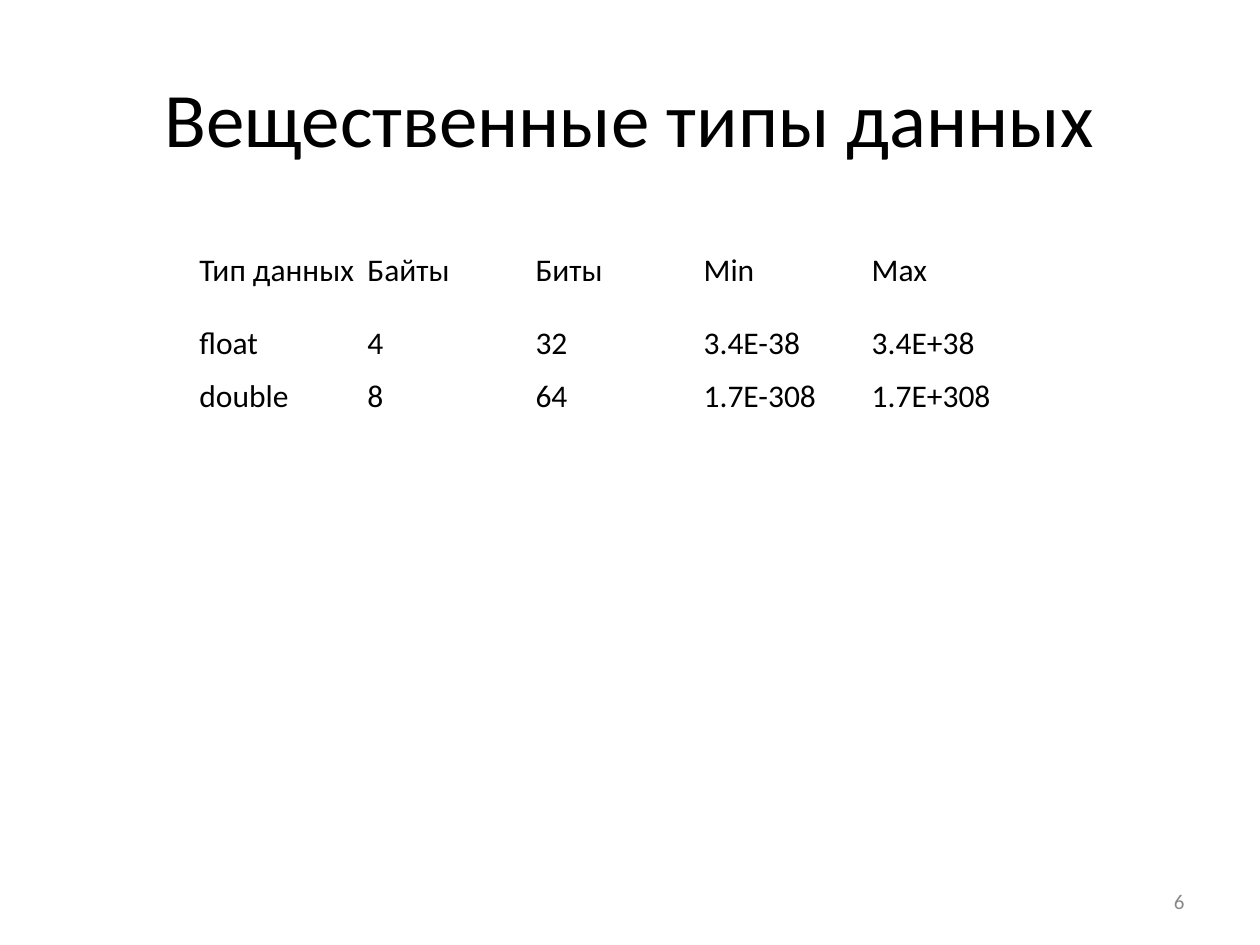
from pptx import Presentation
from pptx.dml.color import RGBColor
from pptx.enum.text import MSO_ANCHOR as Anchor, PP_ALIGN as Align
from pptx.util import Cm, Pt

# Content
TITLE = "Вещественные типы данных"
PAGE_NUMBER = "6"
ROWS = [
    ("Тип данных", "Байты", "Биты", "Min", "Max"),
    ("float", "4", "32", "3.4E-38", "3.4E+38"),
    ("double", "8", "64", "1.7E-308", "1.7E+308"),
    ("", "", "", "", ""),
]

# Layout and formats
TITLE_AREA = (1.27, 0.76, 22.86, 3.18)
NUMBER_AREA = (18.21, 17.65, 5.92, 1.02)
TABLE_LEFT, TABLE_TOP, TABLE_WIDTH = 3.89, 4.52, 16.94
ROW_HEIGHTS = (1.85, 1.07, 1.07, 1.32)
CELL_MARGIN = 0.13
BLACK = RGBColor(0x00, 0x00, 0x00)
GRAY = RGBColor(0x89, 0x89, 0x89)
TITLE_FONT = {"name": "Calibri", "size": Pt(44)}
CELL_FONT = {"name": "Calibri", "size": Pt(18)}
NUMBER_FONT = {"name": "Calibri", "size": Pt(12)}


def set_all(target, values):
    for name, value in values.items():
        setattr(target, name, value)


def write(frame, text, font, color, align, spacing=1.0):
    frame.word_wrap = True
    frame.vertical_anchor = Anchor.MIDDLE
    para = frame.paragraphs[0]
    set_all(para, {"text": text, "alignment": align, "line_spacing": spacing})
    set_all(para.font, font)
    para.font.color.rgb = color


def add_type_table(page):
    area = (TABLE_LEFT, TABLE_TOP, TABLE_WIDTH, sum(ROW_HEIGHTS))
    table = page.shapes.add_table(len(ROWS), len(ROWS[0]), *map(Cm, area)).table
    set_all(table, {"first_row": False, "horz_banding": False})
    for column in table.columns:
        column.width = Cm(TABLE_WIDTH / len(ROWS[0]))
    sides = ("margin_left", "margin_top", "margin_right", "margin_bottom")
    for row, height, texts in zip(table.rows, ROW_HEIGHTS, ROWS):
        row.height = Cm(height)
        for cell, text in zip(row.cells, texts):
            cell.fill.background()
            set_all(cell, dict.fromkeys(sides, Cm(CELL_MARGIN)))
            cell.vertical_anchor = Anchor.MIDDLE
            write(cell.text_frame, text, CELL_FONT, BLACK, Align.LEFT, 1.04)


def main():
    deck = Presentation()
    set_all(deck, {"slide_width": Cm(25.4), "slide_height": Cm(19.05)})
    page = deck.slides.add_slide(deck.slide_layouts[5])

    # Title
    title = page.shapes.title
    set_all(title, dict(zip(("left", "top", "width", "height"), map(Cm, TITLE_AREA))))
    write(title.text_frame, TITLE, TITLE_FONT, BLACK, Align.CENTER)

    # Data types
    add_type_table(page)

    # Page number
    box = page.shapes.add_textbox(*map(Cm, NUMBER_AREA))
    write(box.text_frame, PAGE_NUMBER, NUMBER_FONT, GRAY, Align.RIGHT)

    deck.save("out.pptx")


if __name__ == "__main__":
    main()
